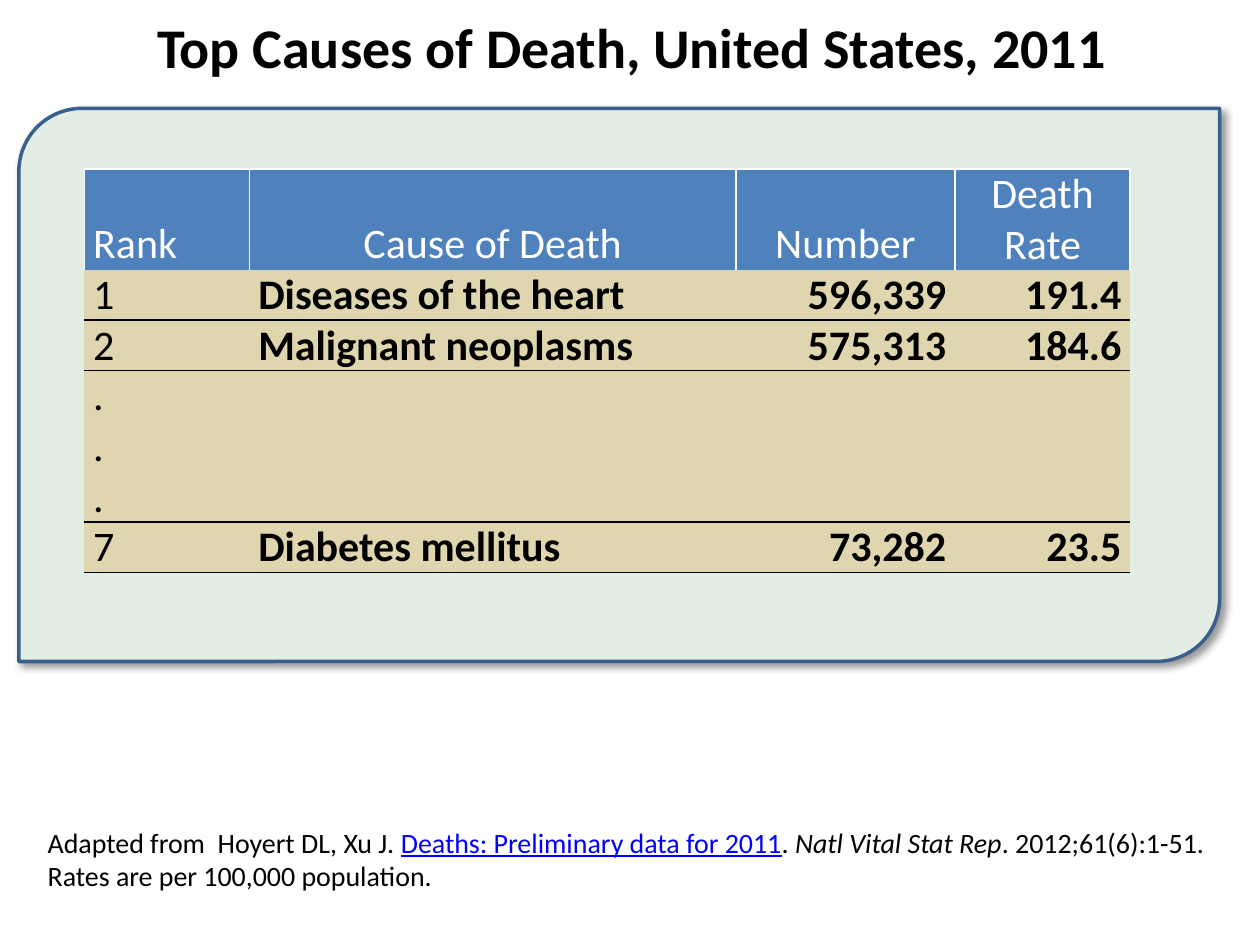
from dataclasses import dataclass, field
from typing import Any, NamedTuple

import pptx
import pptx.dml.color
import pptx.enum.shapes
import pptx.enum.text
import pptx.oxml
import pptx.oxml.ns
import pptx.util

Inches = pptx.util.Inches
Pt = pptx.util.Pt
Align = pptx.enum.text.PP_ALIGN
Anchor = pptx.enum.text.MSO_ANCHOR
DRAWING_NS = pptx.oxml.ns.nsdecls("a")
PLAIN_TABLE_STYLE = "{2D5ABB26-0587-4C30-8999-92F81FD0307C}"


@dataclass(frozen=True)
class Theme:
    font: str = "Calibri"
    ink: str = "000000"
    paper: str = "FFFFFF"
    link: str = "0000FF"
    panel_fill: str = "E2EEE4"
    panel_line: str = "3A5F8C"
    header_fill: str = "4F81BD"
    body_fill: str = "DFD6AF"
    title_size: int = 32
    table_size: int = 24
    source_size: int = 16


THEME = Theme()


class Box(NamedTuple):
    left: float
    top: float
    width: float
    height: float

    def lengths(self) -> list:
        return [Inches(value) for value in self]


class Column(NamedTuple):
    heading: str
    width: float
    heading_align: Any
    body_align: Any
    bold: bool


class Row(NamedTuple):
    values: tuple
    lines: int = 1


@dataclass(frozen=True)
class Span:
    text: str
    color: str = THEME.ink
    formats: dict = field(default_factory=dict)


LINE_HEIGHT = 0.4
COLUMNS = [
    Column("Rank", 1.31, Align.LEFT, Align.LEFT, False),
    Column("Cause of Death", 3.86, Align.CENTER, Align.LEFT, True),
    Column("Number", 1.74, Align.CENTER, Align.RIGHT, True),
    Column("Death Rate", 1.39, Align.CENTER, Align.RIGHT, True),
]
ROWS = [
    Row(tuple(column.heading for column in COLUMNS), lines=2),
    Row(("1", "Diseases of the heart", "596,339", "191.4")),
    Row(("2", "Malignant neoplasms", "575,313", "184.6")),
    Row((".\n.\n.", "", "", ""), lines=3),
    Row(("7", "Diabetes mellitus", "73,282", "23.5")),
]
SOURCE = [
    Span("Adapted from  Hoyert DL, Xu J. "),
    Span("Deaths: Preliminary data for 2011", THEME.link, {"underline": True}),
    Span(". "),
    Span("Natl Vital Stat Rep", formats={"italic": True}),
    Span(". 2012;61(6):1-51. Rates are per 100,000 population."),
]


def rgb(color: str) -> pptx.dml.color.RGBColor:
    return pptx.dml.color.RGBColor.from_string(color)


def apply_formats(target: Any, formats: dict) -> None:
    for name, value in formats.items():
        setattr(target, name, value)


def format_font(font: Any, size: int, color: str, **formats: bool) -> None:
    apply_formats(font, {"name": THEME.font, "size": Pt(size), **formats})
    font.color.rgb = rgb(color)


def place(shape: Any, box: Box) -> None:
    apply_formats(shape, dict(zip(("left", "top", "width", "height"), box.lengths())))


def add_title(slide: Any, text: str, box: Box) -> None:
    title = slide.shapes.title
    place(title, box)
    title.text_frame.text = text
    apply_formats(title.text_frame, {"word_wrap": True, "vertical_anchor": Anchor.TOP})
    heading = title.text_frame.paragraphs[0]
    heading.alignment = Align.CENTER
    format_font(heading.runs[0].font, THEME.title_size, THEME.ink, bold=True)


def add_panel(slide: Any, box: Box) -> None:
    panel = slide.shapes.add_shape(
        pptx.enum.shapes.MSO_SHAPE.ROUND_2_DIAG_RECTANGLE, *box.lengths()
    )
    panel.adjustments[0] = 0.114
    panel.adjustments[1] = 0
    panel.fill.solid()
    panel.fill.fore_color.rgb = rgb(THEME.panel_fill)
    panel.line.color.rgb = rgb(THEME.panel_line)
    panel.line.width = Pt(2)
    panel.shadow.inherit = False
    effects = panel._element.spPr.find(pptx.oxml.ns.qn("a:effectLst"))
    effects.append(pptx.oxml.parse_xml(
        f'<a:outerShdw {DRAWING_NS} blurRad="{Pt(4)}" dist="{Pt(3)}" dir="2700000"'
        f' algn="tl" rotWithShape="0"><a:srgbClr val="{THEME.ink}">'
        '<a:alpha val="40000"/></a:srgbClr></a:outerShdw>'
    ))


def add_borders(cell: Any, sides: str, color: str) -> None:
    """Draw one-point borders; sides holds letters in the order L, R, T, B."""
    properties = cell._tc.get_or_add_tcPr()
    for side in sides:
        properties.append(pptx.oxml.parse_xml(
            f'<a:ln{side} {DRAWING_NS} w="{Pt(1)}"><a:solidFill>'
            f'<a:srgbClr val="{color}"/></a:solidFill></a:ln{side}>'
        ))


def fill_cell(cell: Any, text: str, column: Column, is_header: bool) -> None:
    apply_formats(cell, {
        "text": text,
        "margin_left": Inches(0.07),
        "margin_right": Inches(0.07),
        "margin_top": 0,
        "margin_bottom": 0,
        "vertical_anchor": Anchor.BOTTOM if is_header else Anchor.MIDDLE,
    })
    if is_header:
        add_borders(cell, "LRT", THEME.paper)
    else:
        add_borders(cell, "B", THEME.ink)
    cell.fill.solid()
    cell.fill.fore_color.rgb = rgb(THEME.header_fill if is_header else THEME.body_fill)
    for paragraph in cell.text_frame.paragraphs:
        paragraph.alignment = column.heading_align if is_header else column.body_align
        for run in paragraph.runs:
            format_font(run.font, THEME.table_size,
                        THEME.paper if is_header else THEME.ink,
                        bold=column.bold and not is_header)


def add_causes_table(slide: Any, left: float, top: float) -> None:
    box = Box(left, top, sum(column.width for column in COLUMNS),
              LINE_HEIGHT * sum(row.lines for row in ROWS))
    causes = slide.shapes.add_table(len(ROWS), len(COLUMNS), *box.lengths()).table
    apply_formats(causes, {"first_row": False, "horz_banding": False})
    causes._tbl.tblPr.find(pptx.oxml.ns.qn("a:tableStyleId")).text = PLAIN_TABLE_STYLE
    for index, column in enumerate(COLUMNS):
        causes.columns[index].width = Inches(column.width)
    for row_index, row in enumerate(ROWS):
        causes.rows[row_index].height = Inches(LINE_HEIGHT * row.lines)
        for index, column in enumerate(COLUMNS):
            fill_cell(causes.cell(row_index, index), row.values[index],
                      column, is_header=row_index == 0)


def add_source(slide: Any, box: Box) -> None:
    frame = slide.shapes.add_textbox(*box.lengths()).text_frame
    frame.word_wrap = True
    for span in SOURCE:
        run = frame.paragraphs[0].add_run()
        run.text = span.text
        format_font(run.font, THEME.source_size, span.color, **span.formats)


def main() -> None:
    deck = pptx.Presentation()
    apply_formats(deck, {"slide_width": Inches(10), "slide_height": Inches(7.5)})
    slide = deck.slides.add_slide(deck.slide_layouts[5])
    add_panel(slide, Box(0.15, 0.86, 9.53, 4.39))
    add_title(slide, "Top Causes of Death, United States, 2011", Box(0.35, 0.05, 9.33, 0.64))
    add_source(slide, Box(0.28, 6.5, 9.65, 0.64))
    add_causes_table(slide, 0.67, 1.34)
    deck.save("out.pptx")


if __name__ == "__main__":
    main()
